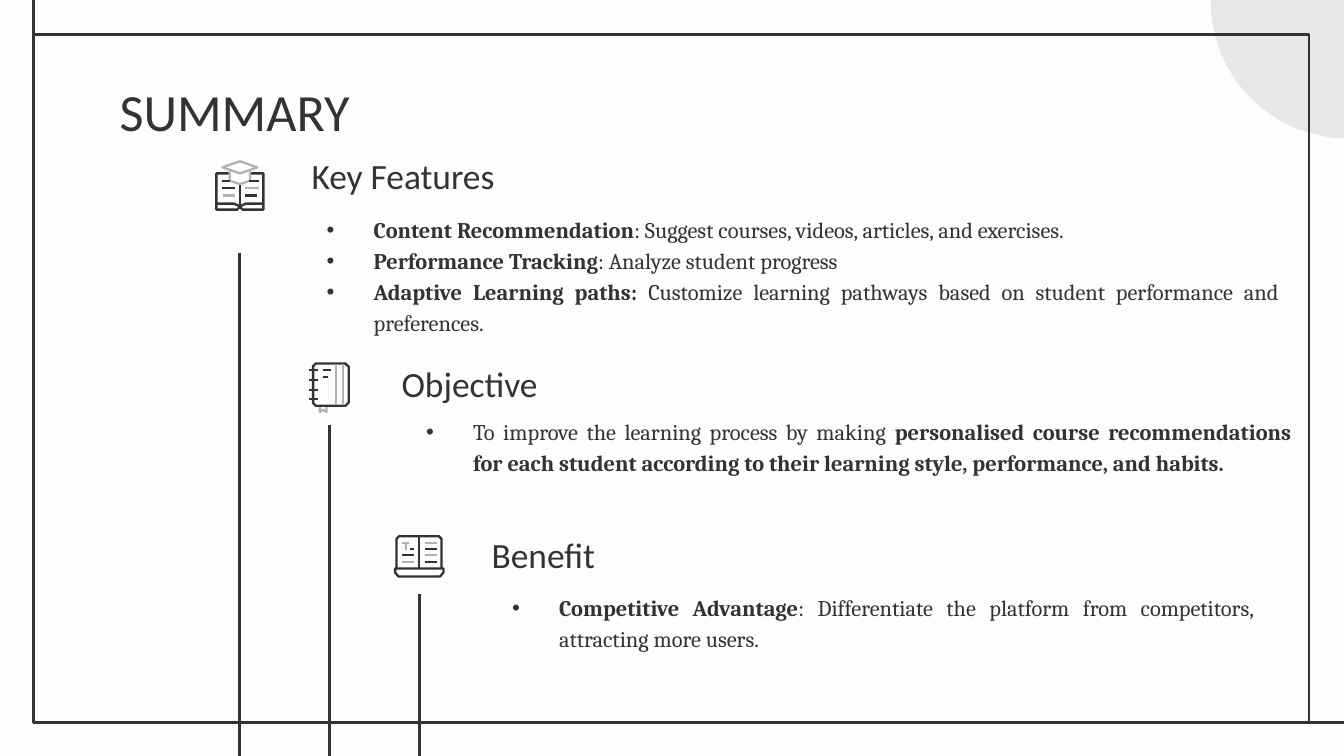
from lxml import etree
from pptx import Presentation
from pptx import util as u
from pptx.dml.color import RGBColor
from pptx.enum import shapes, text
from pptx.oxml.ns import qn

SCALE = 4572  # EMU per px, 200 px to the inch
WIDTH, HEIGHT = 2000, 1125
COLORS = {"paper": "FDFDFD", "ink": "333333", "grey": "B2B2B2", "disc": "E8E7E7"}
HEADING_FONT, BODY_FONT = "Calibri", "Cambria"
BADGE = 112  # side of the square behind each icon


def px(value):
    return u.Emu(value * SCALE)


def color(name):
    return RGBColor.from_string(COLORS[name])


def add_run(paragraph, words, font=BODY_FONT, size=12, bold=False, ink="ink"):
    run = paragraph.add_run()
    run.text = words
    run.font.name, run.font.size, run.font.bold = font, u.Pt(size), bold
    run.font.color.rgb = color(ink)


class SlideBuilder:
    """Holds the current slide and the shared look of its elements."""

    line_width = u.Pt(1.5)
    icon_width = u.Pt(1.25)
    spacing = 1.15

    def __init__(self, slide):
        self.slide = slide
        self.slide.background.fill.solid()
        self.slide.background.fill.fore_color.rgb = color("paper")

    def shape(self, kind, left, top, width, height, fill=None, line=None):
        shape = self.slide.shapes.add_shape(kind, px(left), px(top), px(width), px(height))
        shape.shadow.inherit = False
        if fill:
            shape.fill.solid()
            shape.fill.fore_color.rgb = color(fill)
        else:
            shape.fill.background()
        if line:
            shape.line.color.rgb = color(line)
            shape.line.width = self.line_width
        else:
            shape.line.fill.background()
        return shape

    def line(self, start, end, ink="ink", width=None, parent=None):
        parent = parent or self.slide.shapes
        connector = parent.add_connector(
            shapes.MSO_CONNECTOR.STRAIGHT, *map(px, (*start, *end)))
        connector.line.color.rgb = color(ink)
        connector.line.width = width or self.line_width
        etree.SubElement(connector.element.spPr, qn("a:effectLst"))
        return connector

    def icon(self, left, top, outlines, dashes):
        group = self.slide.shapes.add_group_shape().shapes
        for ink, closed, points in outlines:
            points = [(left + x, top + y) for x, y in points]
            builder = group.build_freeform(*points[0], scale=SCALE)
            builder.add_line_segments(points[1:], close=closed)
            outline = builder.convert_to_shape()
            outline.shadow.inherit = False
            outline.fill.background()
            outline.line.color.rgb = color(ink)
            outline.line.width = self.icon_width
        for ink, x1, y1, x2, y2 in dashes:
            self.line((left + x1, top + y1), (left + x2, top + y2),
                      ink, self.icon_width, group)

    def frame(self, shape, left, top, width, height, anchor):
        shape.left, shape.top, shape.width, shape.height = map(px, (left, top, width, height))
        frame = shape.text_frame
        frame.word_wrap = True
        frame.auto_size = text.MSO_AUTO_SIZE.NONE
        frame.vertical_anchor = anchor
        frame.margin_left = frame.margin_right = px(20)
        frame.margin_top = frame.margin_bottom = px(20)
        self.slide.shapes.element.append(shape.element)  # bring to front
        return frame

    def title(self, words, *box):
        frame = self.frame(self.slide.shapes.title, *box, text.MSO_ANCHOR.TOP)
        paragraph = frame.paragraphs[0]
        paragraph.alignment = text.PP_ALIGN.LEFT
        add_run(paragraph, words, font=HEADING_FONT, size=28)

    def heading(self, words, *box):
        shape = self.slide.shapes.add_textbox(0, 0, 0, 0)
        paragraph = self.frame(shape, *box, text.MSO_ANCHOR.BOTTOM).paragraphs[0]
        paragraph.line_spacing = self.spacing
        add_run(paragraph, words, font=HEADING_FONT, size=19)

    def bullets(self, placeholder, items, *box):
        frame = self.frame(placeholder, *box, text.MSO_ANCHOR.TOP)
        for index, runs in enumerate(items):
            paragraph = frame.add_paragraph() if index else frame.paragraphs[0]
            paragraph.alignment = text.PP_ALIGN.JUSTIFY
            paragraph.line_spacing = self.spacing
            paragraph.space_before = paragraph.space_after = u.Pt(0)
            properties = paragraph._p.get_or_add_pPr()
            properties.set("marL", str(px(100)))
            properties.set("indent", str(px(-70)))
            bullet_color = etree.SubElement(properties, qn("a:buClr"))
            etree.SubElement(bullet_color, qn("a:srgbClr"), val=COLORS["ink"])
            etree.SubElement(properties, qn("a:buFont"), typeface="Arial")
            etree.SubElement(properties, qn("a:buChar"), char="•")
            for words, bold in runs:
                add_run(paragraph, words, bold=bold)


# Icons: outlines (ink, closed, points) and dashes, measured from the badge corner
OPEN_BOOK = (
    [("ink", False, [(42, -6), (22, -6), (22, 48), (53, 48), (57, 44), (61, 48),
                     (92, 48), (92, -6), (72, -6)]),
     ("ink", False, [(22, 39), (48, 39), (57, 43), (66, 39), (92, 39)]),
     ("grey", True, [(31, -15), (57, -24), (83, -15), (57, -6)]),
     ("grey", False, [(42, -9), (42, 5), (57, 10), (72, 5), (72, -9)])],
    [("ink", 57, 12, 57, 42), ("ink", 30, 5, 43, 5), ("ink", 71, 5, 85, 5),
     ("ink", 30, 16, 49, 16), ("grey", 65, 16, 85, 16),
     ("grey", 32, 27, 49, 27), ("ink", 65, 27, 82, 27)])
NOTEBOOK = (
    [("grey", False, [(42, 84), (42, 93), (47, 90), (52, 93), (52, 84)]),
     ("ink", True, [(32, 25), (36, 21), (80, 21), (85, 26), (85, 79), (80, 84),
                    (36, 84), (32, 80)])],
    [("grey", x, 22, x, 83) for x in (66, 76)]
    + [("ink", 26, y, 40, y) for y in (31, 46, 60, 74)]
    + [("ink", 46, 31, 58, 31), ("ink", 46, 41, 54, 41)])
LAPTOP = (
    [("ink", False, [(22, 74), (22, 30), (26, 26), (85, 26), (89, 30), (89, 74)]),
     ("ink", True, [(20, 74), (92, 74), (92, 80), (87, 86), (25, 86), (20, 80)])],
    [("ink", 56, 26, 56, 74), ("grey", 30, 36, 40, 36), ("grey", 36, 36, 36, 46),
     ("ink", 42, 45, 48, 45), ("ink", 30, 54, 48, 54), ("grey", 30, 64, 48, 64)]
    + [(ink, 64, y, 82, y) for ink, y in
       (("grey", 36), ("ink", 45), ("grey", 54), ("ink", 64))])

# Sections: badge corner, icon, heading and its box, list and its box
SECTIONS = [
    ((300, 264), OPEN_BOOK, "Key Features", (444, 238, 1066, 74),
     [[("Content Recommendation", True),
       (": Suggest courses, videos, articles, and exercises.", False)],
      [("Performance Tracking", True), (": Analyze student progress", False)],
      [("Adaptive Learning paths:", True),
       (" Customize learning pathways based on student performance and preferences.", False)]],
     (436, 296, 1488, 224)),
    ((434, 520), NOTEBOOK, "Objective", (578, 528, 1066, 94),
     [[("To improve the learning process by making ", False),
       ("personalised course recommendations for each student according to "
        "their learning style, performance, and habits.", True)]],
     (584, 596, 1358, 116)),
    ((568, 772), LAPTOP, "Benefit", (712, 782, 1066, 94),
     [[("Competitive Advantage", True),
       (": Differentiate the platform from competitors, attracting more users.", False)]],
     (712, 858, 1174, 106)),
]


def main():
    presentation = Presentation()
    presentation.slide_width, presentation.slide_height = px(WIDTH), px(HEIGHT)
    slide = presentation.slides.add_slide(presentation.slide_layouts[4])
    builder = SlideBuilder(slide)
    _, *bodies, spare = list(slide.placeholders)
    spare.element.getparent().remove(spare.element)

    # Corner disc and page border
    builder.shape(shapes.MSO_SHAPE.OVAL, 1802, -202, 408, 408, fill="disc")
    builder.shape(shapes.MSO_SHAPE.RECTANGLE, 50, 51, 1898, 1024, line="ink")
    builder.line((50, 51), (50, 0))
    builder.line((1948, 1075), (WIDTH, 1075))

    # Title and staggered sections
    builder.title("SUMMARY", 158, 98, 1686, 126)
    for body, section in zip(bodies, SECTIONS):
        (left, top), icon, heading, heading_box, items, list_box = section
        badge = builder.shape(shapes.MSO_SHAPE.RECTANGLE, left, top, BADGE, BADGE, fill="paper")
        middle = left + BADGE // 2
        stem = builder.line((middle, top + BADGE), (middle, HEIGHT))
        stem.begin_connect(badge, 2)
        builder.icon(left, top, *icon)
        builder.bullets(body, items, *list_box)
        builder.heading(heading, *heading_box)

    presentation.save("out.pptx")


if __name__ == "__main__":
    main()
